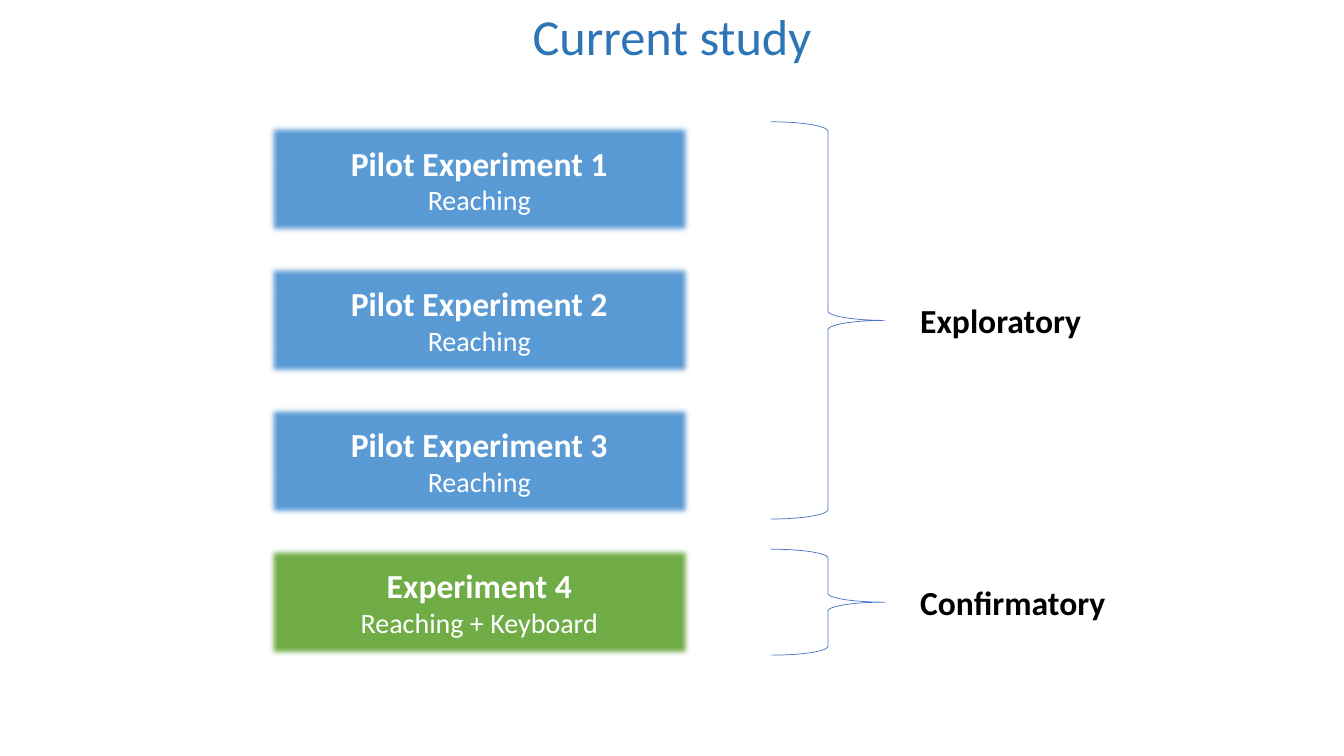
import pptx
import pptx.util
import pptx.dml.color
import pptx.enum.shapes
import pptx.enum.text
import pptx.oxml
import pptx.oxml.ns

Cm = pptx.util.Cm
Pt = pptx.util.Pt
Align = pptx.enum.text.PP_ALIGN
Anchor = pptx.enum.text.MSO_ANCHOR
Shape = pptx.enum.shapes.MSO_SHAPE

HUES = {
    "title": "2E75B6",
    "pilot": "5B9BD5",
    "final": "70AD47",
    "brace": "4472C4",
    "light": "FFFFFF",
    "dark": "000000",
}
STUDIES = [
    ("Pilot Experiment 1", "Reaching", "pilot"),
    ("Pilot Experiment 2", "Reaching", "pilot"),
    ("Pilot Experiment 3", "Reaching", "pilot"),
    ("Experiment 4", "Reaching + Keyboard", "final"),
]
PHASES = [("Exploratory", 3.07, 10.01), ("Confirmatory", 13.84, 2.67)]


def color(name):
    return pptx.dml.color.RGBColor.from_string(HUES[name])


def write(para, text, size, hue, bold=False, align=Align.CENTER):
    para.alignment = align
    run = para.add_run()
    run.text = text
    run.font.name = "Calibri"
    run.font.size = Pt(size)
    run.font.bold = bold
    run.font.color.rgb = color(hue)


def soften(shape):
    effects = shape._element.spPr.find(pptx.oxml.ns.qn("a:effectLst"))
    space = pptx.oxml.ns.nsdecls("a")
    effects.append(pptx.oxml.parse_xml(f'<a:softEdge {space} rad="63500"/>'))


def add_title(slide, text):
    title = slide.shapes.title
    title.left, title.top = Cm(0), Cm(0)
    title.width, title.height = Cm(33.87), Cm(1.8)
    frame = title.text_frame
    frame.auto_size = pptx.enum.text.MSO_AUTO_SIZE.NONE
    frame.vertical_anchor = Anchor.MIDDLE
    write(frame.paragraphs[0], text, 36, "title")


def add_study(slide, top, name, task, hue):
    box = slide.shapes.add_shape(
        Shape.RECTANGLE, Cm(6.68), Cm(top), Cm(10.8), Cm(2.9))
    box.fill.solid()
    box.fill.fore_color.rgb = color(hue)
    box.line.fill.background()
    box.shadow.inherit = False
    soften(box)
    frame = box.text_frame
    frame.word_wrap = True
    frame.vertical_anchor = Anchor.MIDDLE
    write(frame.paragraphs[0], name, 24, "light", bold=True)
    write(frame.add_paragraph(), task, 20, "light")


def add_brace(slide, top, height):
    brace = slide.shapes.add_shape(
        Shape.RIGHT_BRACE, Cm(19.43), Cm(top), Cm(2.87), Cm(height))
    brace.fill.background()
    brace.line.color.rgb = color("brace")
    brace.line.width = Pt(0.5)
    brace.shadow.inherit = False


def add_label(slide, middle, text):
    height = 1.17
    label = slide.shapes.add_textbox(
        Cm(22.94), Cm(middle - height / 2), Cm(7.7), Cm(height))
    frame = label.text_frame
    frame.word_wrap = True
    frame.vertical_anchor = Anchor.MIDDLE
    write(frame.paragraphs[0], text, 24, "dark", bold=True, align=Align.LEFT)


def main():
    deck = pptx.Presentation()
    deck.slide_width, deck.slide_height = Cm(33.87), Cm(19.05)
    slide = deck.slides.add_slide(deck.slide_layouts[5])
    add_title(slide, "Current study")
    for row, (name, task, hue) in enumerate(STUDIES):
        add_study(slide, 3.07 + row * 3.55, name, task, hue)
    for text, top, height in PHASES:
        add_brace(slide, top, height)
        add_label(slide, top + height / 2, text)
    deck.save("out.pptx")


if __name__ == "__main__":
    main()
